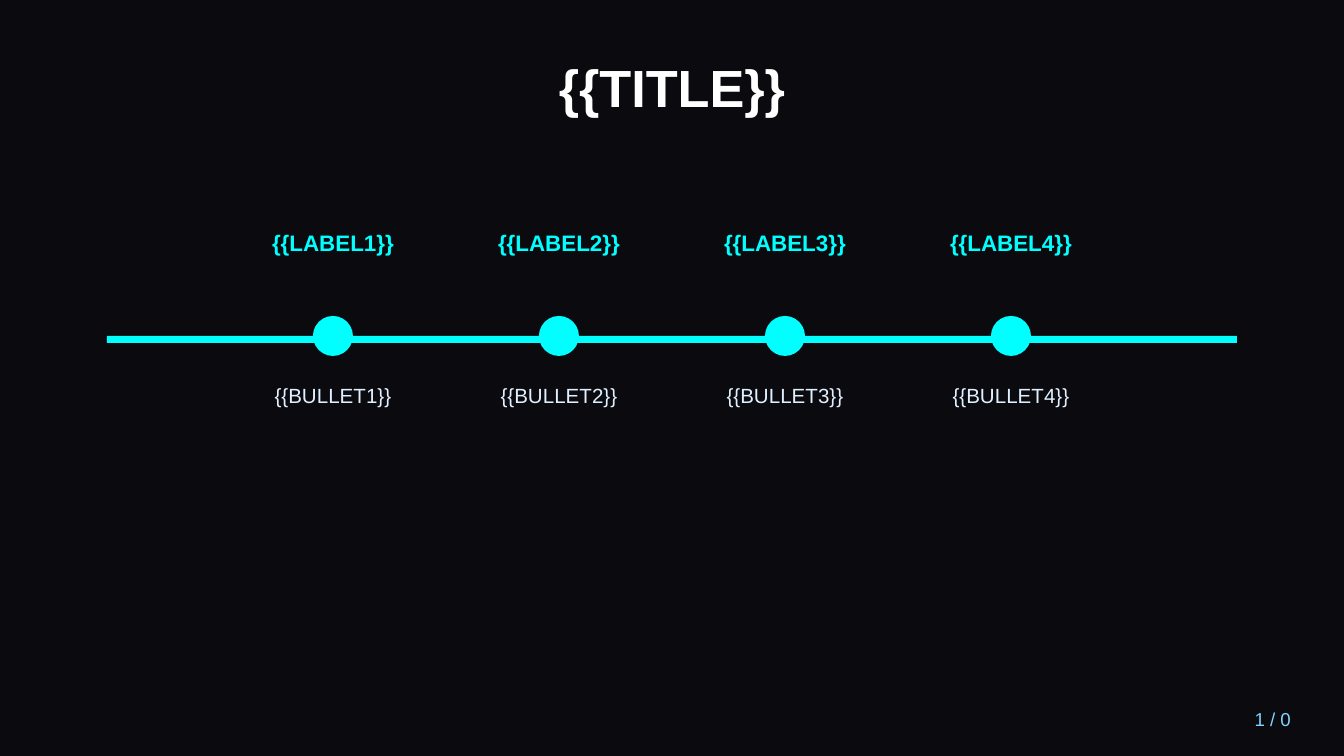
import pptx
import pptx.dml.color
import pptx.enum.shapes
import pptx.enum.text
import pptx.util

COLORS = {
    "background": "0A0A0F",
    "title": "FFFFFF",
    "accent": "00FFFF",
    "body": "E0F0FF",
    "page": "80D4FF",
}
ALIGN = pptx.enum.text.PP_ALIGN
ANCHOR = pptx.enum.text.MSO_ANCHOR
SHAPE = pptx.enum.shapes.MSO_SHAPE


class TimelineSlide:
    font_name = "Arial"
    scale = 914400 / 134.4

    def __init__(self, deck, width, height):
        deck.slide_width, deck.slide_height = self.emu(width, height)
        self.slide = deck.slides.add_slide(deck.slide_layouts[6])
        self.paint(self.slide.background.fill, "background")

    def emu(self, *lengths):
        return [pptx.util.Emu(round(length * self.scale)) for length in lengths]

    def color(self, name):
        return pptx.dml.color.RGBColor.from_string(COLORS[name])

    def paint(self, fill, name):
        fill.solid()
        fill.fore_color.rgb = self.color(name)

    def text(self, words, box, size, color, bold=False,
             align=ALIGN.CENTER, anchor=ANCHOR.MIDDLE):
        frame = self.slide.shapes.add_textbox(*self.emu(*box)).text_frame
        frame.word_wrap = True
        frame.vertical_anchor = anchor
        paragraph = frame.paragraphs[0]
        paragraph.alignment = align
        run = paragraph.add_run()
        run.text = words
        formats = {"name": self.font_name, "size": pptx.util.Pt(size), "bold": bold}
        for attribute, value in formats.items():
            setattr(run.font, attribute, value)
        run.font.color.rgb = self.color(color)

    def solid(self, preset, box, color):
        shape = self.slide.shapes.add_shape(preset, *self.emu(*box))
        shape.shadow.inherit = False
        self.paint(shape.fill, color)
        shape.line.fill.background()


def main():
    deck = pptx.Presentation()
    timeline = TimelineSlide(deck, 1344, 756)
    timeline.text("{{TITLE}}", (67, 40, 1210, 94), 28, "title", bold=True)

    axis_left, axis_width, milestones = 107, 1130, 4
    step = axis_width // (milestones + 1)
    dot, column = 40, 268
    timeline.solid(SHAPE.RECTANGLE, (axis_left, 336, axis_width, 7), "accent")

    for number in range(1, milestones + 1):
        center = axis_left + step * number
        column_left = center - column // 2
        timeline.solid(SHAPE.OVAL, (center - dot // 2, 316, dot, dot), "accent")
        timeline.text(f"{{{{LABEL{number}}}}}", (column_left, 202, column, 81),
                      12, "accent", bold=True)
        timeline.text(f"{{{{BULLET{number}}}}}", (column_left, 376, column, 202),
                      11, "body", anchor=ANCHOR.TOP)

    timeline.text("1 / 0", (1142, 699, 162, 40), 10, "page", align=ALIGN.RIGHT)
    deck.save("out.pptx")


if __name__ == "__main__":
    main()
